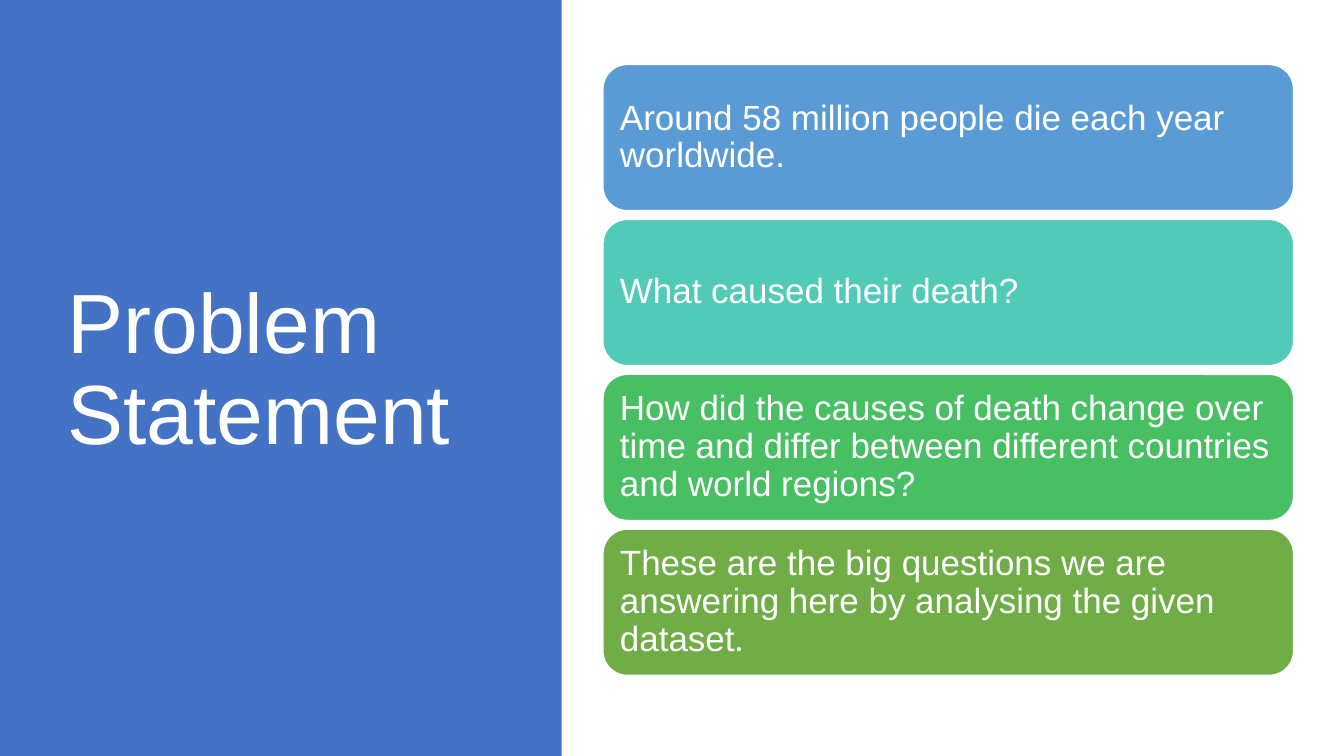
from pptx import Presentation
from pptx.dml.color import RGBColor
from pptx.enum.shapes import MSO_SHAPE as Shape
from pptx.enum.text import MSO_ANCHOR as Anchor, PP_ALIGN as Align
from pptx.util import Inches, Pt

COLORS = {
    "panel": "4472C4",
    "white": "FFFFFF",
    "blue": "5B9BD5",
    "teal": "52CAB8",
    "green": "49BF64",
    "olive": "70AD47",
}


def write(text, frame, size, color="white", font="Arial", ending="", ending_font="Calibri"):
    frame.word_wrap = True
    frame.vertical_anchor = Anchor.MIDDLE
    paragraph = frame.paragraphs[0]
    paragraph.alignment = Align.LEFT
    paragraph.line_spacing = 0.9
    for part, typeface in ((text, font), (ending, ending_font)):
        if part:
            run = paragraph.add_run()
            run.text = part
            run.font.name = typeface
            run.font.size = Pt(size)
            run.font.color.rgb = RGBColor.from_string(COLORS[color])


deck = Presentation()
deck.slide_width, deck.slide_height = Inches(13.33), Inches(7.5)
slide = deck.slides.add_slide(deck.slide_layouts[6])

panel = slide.shapes.add_shape(Shape.RECTANGLE, 0, 0, Inches(5.57), deck.slide_height)
panel.shadow.inherit = False
panel.fill.solid()
panel.fill.fore_color.rgb = RGBColor.from_string(COLORS["panel"])
panel.line.fill.background()

heading = slide.shapes.add_textbox(Inches(0.57), Inches(0.68), Inches(4.16), Inches(6.02))
write("Problem Statement", frame=heading.text_frame, size=60)

statements = [
    ("Around 58 million people die each year worldwide.", "", "blue"),
    ("What caused their death?", "", "teal"),
    ("How did the causes of death change over time and differ between "
     "different countries and world regions?", "", "green"),
    ("These are the big questions we are answering here by analysing the given dataset",
     ".", "olive"),
]
first_top, last_top = 0.64, 5.25
pitch = (last_top - first_top) / (len(statements) - 1)

for row, (statement, ending, color) in enumerate(statements):
    card = slide.shapes.add_shape(
        Shape.ROUNDED_RECTANGLE,
        Inches(5.98), Inches(first_top + row * pitch), Inches(6.85), Inches(1.45))
    card.shadow.inherit = False
    card.fill.solid()
    card.fill.fore_color.rgb = RGBColor.from_string(COLORS[color])
    card.line.color.rgb = RGBColor.from_string(COLORS["white"])
    card.line.width = Pt(1)
    frame = card.text_frame
    frame.margin_left = frame.margin_right = Inches(0.1)
    frame.margin_top = frame.margin_bottom = Inches(0.1)
    write(statement, frame=frame, size=25, ending=ending)

deck.save("out.pptx")
